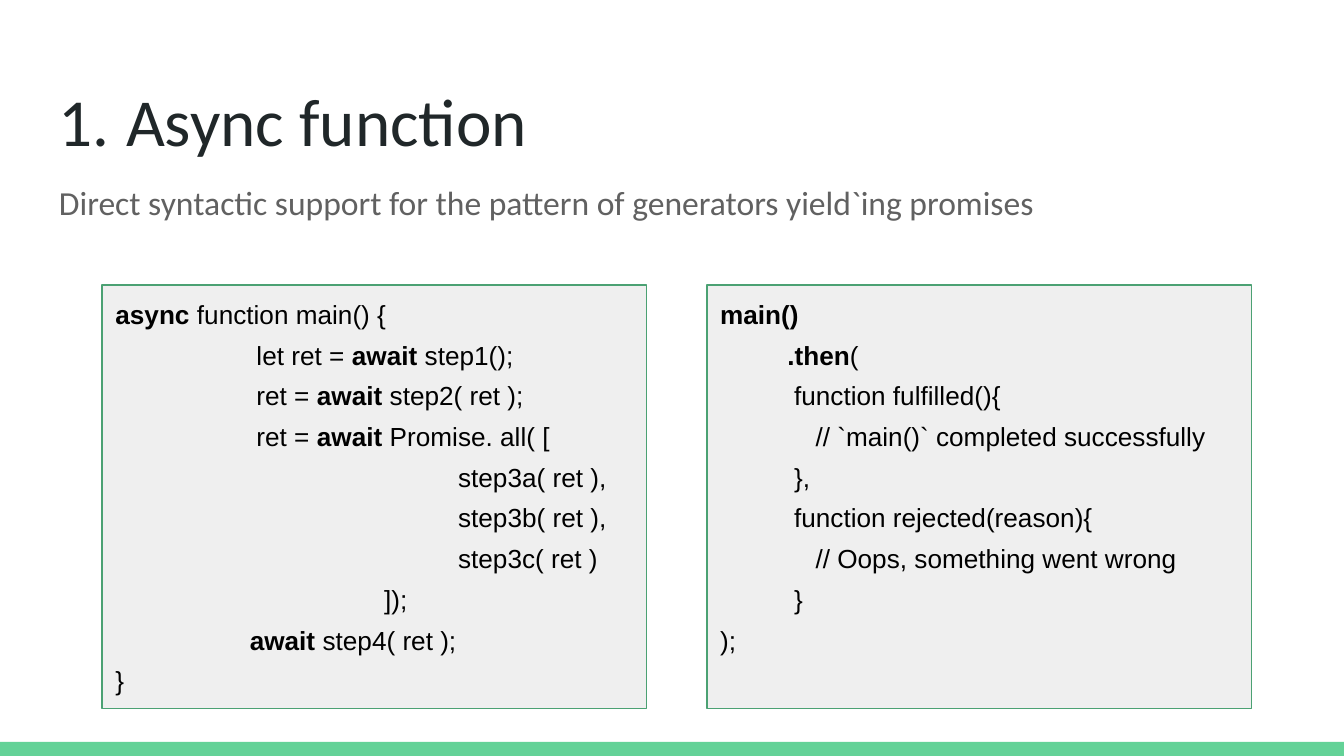
import pptx
import pptx.util
import pptx.dml.color
import pptx.enum.shapes
import pptx.enum.text
import pptx.oxml.ns
from dataclasses import dataclass
from lxml import etree
from pptx.util import Inches, Pt


@dataclass(frozen=True)
class Theme:
    accent: str = "63D297"
    title: str = "202729"
    subtitle: str = "616161"
    code: str = "000000"
    panel: str = "EFEFEF"
    panel_line: str = "4BA173"
    heading_font: str = "Calibri"
    code_font: str = "Arial"
    title_size: int = 36
    subtitle_size: int = 18
    code_size: int = 14


THEME = Theme()

# Each code line: indent in inches, then (text, bold) runs
ASYNC_CODE = [
    (0, [("async ", True), ("function main() {", False)]),
    (1.05, [("let ret = ", False), ("await ", True), ("step1();", False)]),
    (1.05, [("ret = ", False), ("await ", True), ("step2( ret );", False)]),
    (1.05, [("ret = ", False), ("await ", True), ("Promise. all( [", False)]),
    (2.55, [("step3a( ret ),", False)]),
    (2.55, [("step3b( ret ),", False)]),
    (2.55, [("step3c( ret )", False)]),
    (2, [("]);", False)]),
    (1, [("await ", True), ("step4( ret );", False)]),
    (0, [("}", False)]),
]
PROMISE_CODE = [
    (0, [("main()", True)]),
    (0.5, [(".then", True), ("(", False)]),
    (0.55, [("function fulfilled(){", False)]),
    (0.71, [("// `main()` completed successfully", False)]),
    (0.55, [("},", False)]),
    (0.55, [("function rejected(reason){", False)]),
    (0.71, [("// Oops, something went wrong", False)]),
    (0.55, [("}", False)]),
    (0, [(");", False)]),
]


def rgb(value):
    return pptx.dml.color.RGBColor.from_string(value)


def set_font(paragraph, name, size, color):
    paragraph.font.name = name
    paragraph.font.size = Pt(size)
    paragraph.font.color.rgb = rgb(color)


def set_indent(paragraph, left, first=0):
    properties = paragraph._p.get_or_add_pPr()
    properties.set("marL", str(Inches(left)))
    properties.set("indent", str(Inches(first)))
    return properties


def prepare_frame(shape):
    frame = shape.text_frame
    frame.word_wrap = True
    frame.vertical_anchor = pptx.enum.text.MSO_ANCHOR.TOP
    frame.margin_left = frame.margin_right = Inches(0.1)
    frame.margin_top = frame.margin_bottom = Inches(0.1)
    return frame


def add_rectangle(slide, box, fill):
    shape = slide.shapes.add_shape(
        pptx.enum.shapes.MSO_SHAPE.RECTANGLE, *map(Inches, box))
    shape.shadow.inherit = False
    shape.fill.solid()
    shape.fill.fore_color.rgb = rgb(fill)
    shape.line.fill.background()
    return shape


def add_heading(slide, box, title, subtitle):
    left, top, width, height = box
    title_height = 0.76

    # Numbered title
    title_box = slide.shapes.add_textbox(
        *map(Inches, (left, top, width, title_height)))
    paragraph = prepare_frame(title_box).paragraphs[0]
    paragraph.text = title
    set_font(paragraph, THEME.heading_font, THEME.title_size, THEME.title)
    properties = set_indent(paragraph, 0.5, -0.5)
    number = etree.Element(pptx.oxml.ns.qn("a:buAutoNum"), type="arabicPeriod")
    properties.insert(0, number)

    # Subtitle
    subtitle_box = slide.shapes.add_textbox(
        *map(Inches, (left, top + title_height, width, height - title_height)))
    paragraph = prepare_frame(subtitle_box).paragraphs[0]
    paragraph.text = subtitle
    paragraph.space_after = Pt(10)
    set_font(paragraph, THEME.heading_font, THEME.subtitle_size, THEME.subtitle)


def add_code_panel(slide, box, lines):
    panel = add_rectangle(slide, box, THEME.panel)
    panel.line.color.rgb = rgb(THEME.panel_line)
    panel.line.width = Pt(0.75)
    frame = prepare_frame(panel)
    for index, (indent, runs) in enumerate(lines):
        paragraph = frame.add_paragraph() if index else frame.paragraphs[0]
        paragraph.alignment = pptx.enum.text.PP_ALIGN.LEFT
        paragraph.space_after = Pt(5)
        set_indent(paragraph, indent)
        set_font(paragraph, THEME.code_font, THEME.code_size, THEME.code)
        for text, bold in runs:
            run = paragraph.add_run()
            run.text = text
            run.font.bold = bold


def main():
    # Widescreen page, 16:9
    presentation = pptx.Presentation()
    presentation.slide_width = Inches(10)
    presentation.slide_height = Inches(10) * 9 // 16
    slide = presentation.slides.add_slide(presentation.slide_layouts[6])

    # Footer band
    add_rectangle(slide, (0, 5.52, 10, 0.11), THEME.accent)

    add_heading(
        slide, (0.34, 0.49, 9.32, 1.41), "Async function",
        "Direct syntactic support for the pattern of generators yield`ing promises")

    # Two code panels side by side
    for column, lines in enumerate((ASYNC_CODE, PROMISE_CODE)):
        add_code_panel(slide, (0.76 + column * 4.5, 2.12, 4.05, 3.15), lines)

    presentation.save("out.pptx")


if __name__ == "__main__":
    main()
